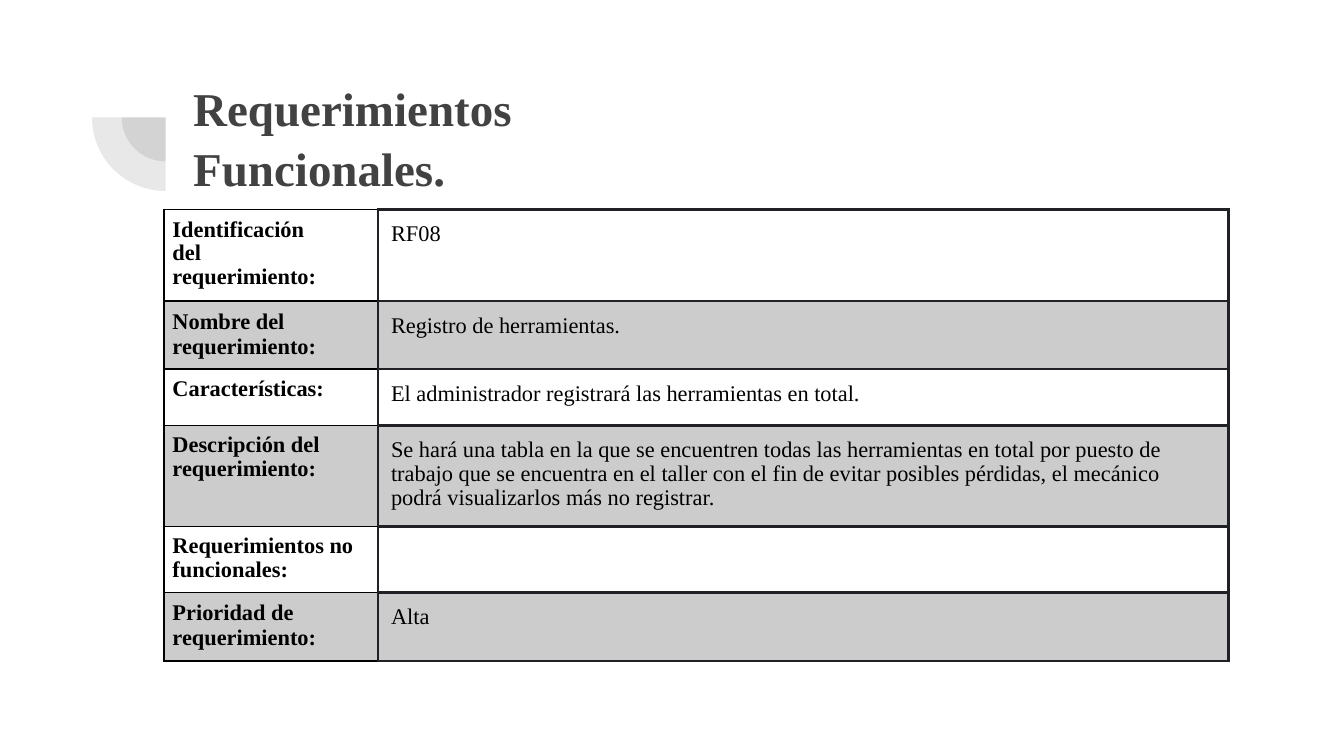
from dataclasses import dataclass

from lxml import etree
from pptx import Presentation
from pptx.dml.color import RGBColor
from pptx.enum.shapes import MSO_SHAPE
from pptx.enum.text import MSO_ANCHOR, MSO_AUTO_SIZE, PP_ALIGN
from pptx.oxml.ns import qn
from pptx.util import Cm, Pt

PIE = MSO_SHAPE.PIE
MIDDLE, TOP = MSO_ANCHOR.MIDDLE, MSO_ANCHOR.TOP
LEFT = PP_ALIGN.LEFT
NO_AUTOFIT = MSO_AUTO_SIZE.NONE
TITLE_ONLY = 5


@dataclass(frozen=True)
class Theme:
    font: str = "Times New Roman"
    title_size: float = 25.2
    cell_size: float = 12
    heading: str = "424242"
    text: str = "000000"
    band: str = "CCCCCC"
    thin: tuple[str, float] = ("000000", 1)
    thick: tuple[str, float] = ("202124", 1.5)


@dataclass(frozen=True)
class Requirement:
    label: tuple[str, ...]
    value: str
    height: float
    label_right: float = 0.16


THEME = Theme()
LABEL_INSET, VALUE_INSET = 0.16, 0.25
TIGHT = 0.96
COLUMN_WIDTHS = (4.04, 16.08)
REQUIREMENTS = (
    Requirement(("Identificación del", "requerimiento:"), "RF08", 1.73, 0.9),
    Requirement(("Nombre del", "requerimiento:"), "Registro de herramientas.", 1.29),
    Requirement(("Características:",),
                "El administrador registrará las herramientas en total.", 1.06),
    Requirement(("Descripción del requerimiento:",),
                "Se hará una tabla en la que se encuentren todas las herramientas en total "
                "por puesto de trabajo que se encuentra en el taller con el fin de evitar "
                "posibles pérdidas, el mecánico podrá visualizarlos más no registrar.", 1.91),
    Requirement(("Requerimientos no funcionales:",), "", 1.25),
    Requirement(("Prioridad de", "requerimiento:"), "Alta", 1.29),
)


def set_all(target, values: dict) -> None:
    for name, value in values.items():
        setattr(target, name, value)


def write_lines(frame, lines: tuple[str, ...], size: float, color: str,
                bold: bool, spacing: float) -> None:
    for index, line in enumerate(lines):
        para = frame.add_paragraph() if index else frame.paragraphs[0]
        set_all(para, {"alignment": LEFT, "line_spacing": spacing,
                       "space_before": Pt(0), "space_after": Pt(0)})
        span = para.add_run()
        span.text = line
        set_all(span.font, {"name": THEME.font, "size": Pt(size), "bold": bold})
        span.font.color.rgb = RGBColor.from_string(color)


def set_borders(cell, sides: dict[str, tuple[str, float]]) -> None:
    """Draw the L, R, T and B sides, which must precede the cell's fill."""
    properties = cell._tc.get_or_add_tcPr()
    for side in "LRTB":
        color, width = sides[side]
        line = etree.SubElement(properties, qn(f"a:ln{side}"), w=str(Pt(width)))
        fill = etree.SubElement(line, qn("a:solidFill"))
        etree.SubElement(fill, qn("a:srgbClr"), val=color)


def set_fill(cell, banded: bool) -> None:
    if banded:
        cell.fill.solid()
        cell.fill.fore_color.rgb = RGBColor.from_string(THEME.band)
    else:
        cell.fill.background()


def set_insets(cell, inset: float, right: float) -> None:
    set_all(cell, {"margin_left": Cm(inset), "margin_right": Cm(right),
                   "margin_top": Cm(inset), "margin_bottom": Cm(inset),
                   "vertical_anchor": TOP})


def add_quarter(page, center_x: float, center_y: float, radius: float) -> None:
    """Add the translucent lower left quarter of a disc."""
    quarter = page.shapes.add_shape(PIE, Cm(center_x - radius), Cm(center_y - radius),
                                    Cm(2 * radius), Cm(2 * radius))
    quarter.adjustments[0], quarter.adjustments[1] = 108, 162
    quarter.rotation = 270
    quarter.shadow.inherit = False
    quarter.line.fill.background()
    quarter.fill.solid()
    quarter.fill.fore_color.rgb = RGBColor.from_string(THEME.heading)
    color = quarter._element.spPr.find(f"{qn('a:solidFill')}/{qn('a:srgbClr')}")
    etree.SubElement(color, qn("a:alpha"), val="12000")


def add_title(page) -> None:
    title = page.shapes.title
    set_all(title, {"left": Cm(3.4), "top": Cm(1.19),
                    "width": Cm(19.53), "height": Cm(2.77)})
    inset = Cm(VALUE_INSET)
    set_all(title.text_frame, {
        "auto_size": NO_AUTOFIT, "word_wrap": True, "vertical_anchor": MIDDLE,
        "margin_left": inset, "margin_right": inset,
        "margin_top": inset, "margin_bottom": inset})
    write_lines(title.text_frame, ("Requerimientos", "Funcionales."),
                THEME.title_size, THEME.heading, True, 1.05)


def add_requirements(page, left: float, top: float) -> None:
    heights = [requirement.height for requirement in REQUIREMENTS]
    table = page.shapes.add_table(len(heights), len(COLUMN_WIDTHS), Cm(left), Cm(top),
                                  Cm(sum(COLUMN_WIDTHS)), Cm(sum(heights))).table
    set_all(table, {"first_row": False, "horz_banding": False})
    for column, width in zip(table.columns, COLUMN_WIDTHS):
        column.width = Cm(width)

    value_sides = dict.fromkeys("LRTB", THEME.thick)
    label_sides = dict.fromkeys("LTB", THEME.thin) | {"R": THEME.thick}
    for index, requirement in enumerate(REQUIREMENTS):
        table.rows[index].height = Cm(requirement.height)
        label, value = table.cell(index, 0), table.cell(index, 1)
        for cell, sides in ((label, label_sides), (value, value_sides)):
            set_borders(cell, sides)
            set_fill(cell, index % 2 == 1)
        set_insets(label, LABEL_INSET, requirement.label_right)
        spacing = 1.0 if len(requirement.label) > 1 and index else TIGHT
        write_lines(label.text_frame, requirement.label,
                    THEME.cell_size, THEME.text, True, spacing)
        if requirement.value:
            set_insets(value, VALUE_INSET, VALUE_INSET)
            write_lines(value.text_frame, (requirement.value,),
                        THEME.cell_size, THEME.text, False, TIGHT)


def main() -> None:
    deck = Presentation()
    set_all(deck, {"slide_width": Cm(25.4), "slide_height": Cm(14.29)})
    page = deck.slides.add_slide(deck.slide_layouts[TITLE_ONLY])
    for radius in (0.83, 1.39):
        add_quarter(page, 3.13, 2.22, radius)
    add_title(page)
    add_requirements(page, 3.1, 3.96)
    deck.save("out.pptx")


if __name__ == "__main__":
    main()
